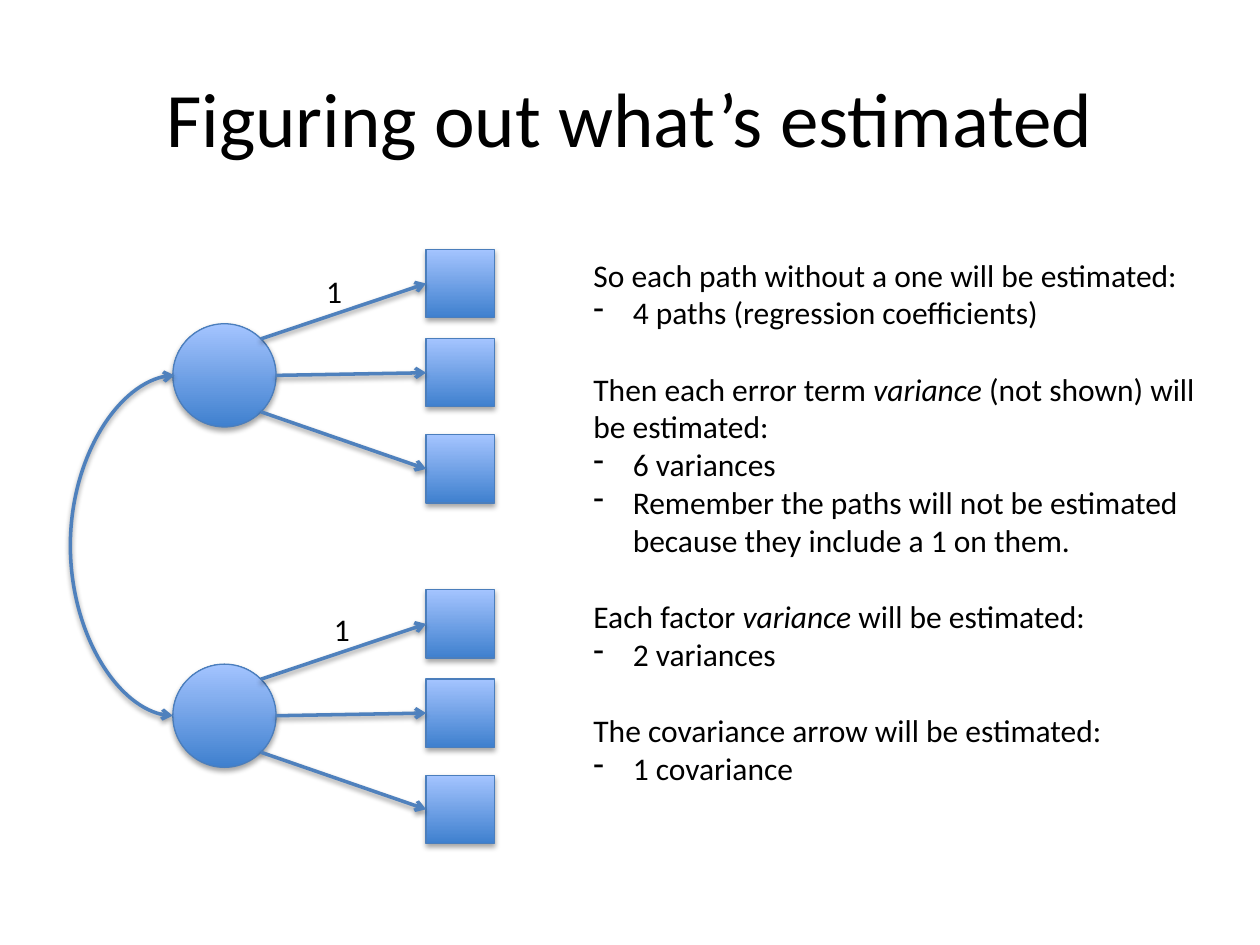
import math
import lxml.etree
import pptx
import pptx.dml.color
import pptx.enum.shapes
import pptx.enum.text
import pptx.oxml.ns
import pptx.util

Pt = pptx.util.Pt
qn = pptx.oxml.ns.qn
SHAPES = pptx.enum.shapes.MSO_SHAPE
CONNECTORS = pptx.enum.shapes.MSO_CONNECTOR
COLORS = {
    "text": "000000",
    "bottom": "3F80CE",
    "top": "A4C4FF",
    "outline": "4B7EBC",
    "arrow": "4F81BD",
    "shadow": "000000",
}
FONT = "Calibri"
CIRCLE_SIZE = 59
CIRCLE_TOP = 42.5
SQUARE_SIZE = 39
SQUARE_LEFT = 144.75
SQUARE_TOPS = (0, 51, 106)


def color(name):
    return pptx.dml.color.RGBColor.from_string(COLORS[name])


def add_child(parent, tag, **attributes):
    child = lxml.etree.SubElement(parent, qn(tag))
    for name, value in attributes.items():
        child.set(name, str(value))
    return child


def add_shadow(shape, distance, opacity):
    effects = add_child(shape._element.spPr, "a:effectLst")
    shadow = add_child(effects, "a:outerShdw", blurRad=Pt(3.1), dist=Pt(distance),
                       dir=5400000, rotWithShape=0)
    shadow_color = add_child(shadow, "a:srgbClr", val=COLORS["shadow"])
    add_child(shadow_color, "a:alpha", val=opacity * 1000)


def add_node(slide, kind, left, top, size):
    shape = slide.shapes.add_shape(kind, Pt(left), Pt(top), Pt(size), Pt(size))
    shape.fill.gradient()
    shape.fill.gradient_angle = 90
    for stop, name in zip(shape.fill.gradient_stops, ("bottom", "top")):
        stop.color.rgb = color(name)
    shape.line.color.rgb = color("outline")
    shape.line.width = Pt(0.75)
    add_shadow(shape, 1.8, 35)


def add_arrow(slide, start, end, kind=CONNECTORS.STRAIGHT, ends=("a:tailEnd",)):
    arrow = slide.shapes.add_connector(kind, *(Pt(value) for value in start + end))
    arrow.line.color.rgb = color("arrow")
    arrow.line.width = Pt(2)
    for tag in ends:
        add_child(arrow.line._get_or_add_ln(), tag, type="arrow")
    add_shadow(arrow, 1.6, 38)
    return arrow


def write(paragraph, text, size=18, italic=None):
    run = paragraph.add_run()
    run.text = text
    run.font.name = FONT
    run.font.size = Pt(size)
    run.font.italic = italic
    run.font.color.rgb = color("text")


def add_title(slide, text, left, top, width, height):
    title = slide.shapes.title
    title.left, title.top, title.width, title.height = map(Pt, (left, top, width, height))
    title.text_frame.vertical_anchor = pptx.enum.text.MSO_ANCHOR.MIDDLE
    paragraph = title.text_frame.paragraphs[0]
    paragraph.alignment = pptx.enum.text.PP_ALIGN.CENTER
    write(paragraph, text, size=44)


def add_factor(slide, left, top, label_left, label_top):
    radius = CIRCLE_SIZE / 2
    center_x, center_y = left + radius, top + CIRCLE_TOP + radius
    add_node(slide, SHAPES.OVAL, left, top + CIRCLE_TOP, CIRCLE_SIZE)
    for offset, degrees in zip(SQUARE_TOPS, (-45, 0, 45)):
        add_node(slide, SHAPES.RECTANGLE, left + SQUARE_LEFT, top + offset, SQUARE_SIZE)
        angle = math.radians(degrees)
        start = (center_x + radius * math.cos(angle), center_y + radius * math.sin(angle))
        add_arrow(slide, start, (left + SQUARE_LEFT, top + offset + SQUARE_SIZE / 2))
    label = slide.shapes.add_textbox(Pt(left + label_left), Pt(top + label_top), Pt(24), Pt(29))
    label.text_frame.word_wrap = False
    write(label.text_frame.paragraphs[0], "1")
    return center_y


def add_covariance(slide, left, top, bottom):
    arrow = add_arrow(slide, (left + 1, top), (left, bottom), CONNECTORS.CURVE,
                      ("a:headEnd", "a:tailEnd"))
    guides = arrow._element.spPr.find(qn("a:prstGeom")).get_or_add_avLst()
    add_child(guides, "a:gd", name="adj1", fmla="val 6000000")


def add_explanation(slide, sections, left, top, width, height):
    box = slide.shapes.add_textbox(Pt(left), Pt(top), Pt(width), Pt(height))
    frame = box.text_frame
    frame.word_wrap = True
    paragraph = frame.paragraphs[0]
    for number, (heading, bullets) in enumerate(sections):
        if number:
            paragraph = frame.add_paragraph()
            paragraph.space_before = Pt(22)
        for position, text in enumerate(heading):
            write(paragraph, text, italic=position == 1)
        for text in bullets:
            paragraph = frame.add_paragraph()
            properties = paragraph._p.get_or_add_pPr()
            properties.set("marL", str(Pt(22.5)))
            properties.set("indent", str(Pt(-22.5)))
            add_child(properties, "a:buFontTx")
            add_child(properties, "a:buChar", char="-")
            write(paragraph, text)


SECTIONS = (
    (("So each path without a one will be estimated:",),
     ("4 paths (regression coefficients)",)),
    (("Then each error term ", "variance", " (not shown) will be estimated:"),
     ("6 variances",
      "Remember the paths will not be estimated because they include a 1 on them.")),
    (("Each factor ", "variance", " will be estimated:"), ("2 variances",)),
    (("The covariance arrow will be estimated:",), ("1 covariance",)),
)


def build():
    presentation = pptx.Presentation()
    presentation.slide_width, presentation.slide_height = Pt(720), Pt(540)
    slide = presentation.slides.add_slide(presentation.slide_layouts.get_by_name("Title Only"))
    add_title(slide, "Figuring out what’s estimated", 36, 21.6, 648, 90)
    left = 98.75
    upper = add_factor(slide, left, 142.5, 80.5, 9.5)
    lower = add_factor(slide, left, 337, 85, 8)
    add_explanation(slide, SECTIONS, 332, 142.5, 367, 378)
    add_covariance(slide, left, upper, lower)
    presentation.save("out.pptx")


build()
